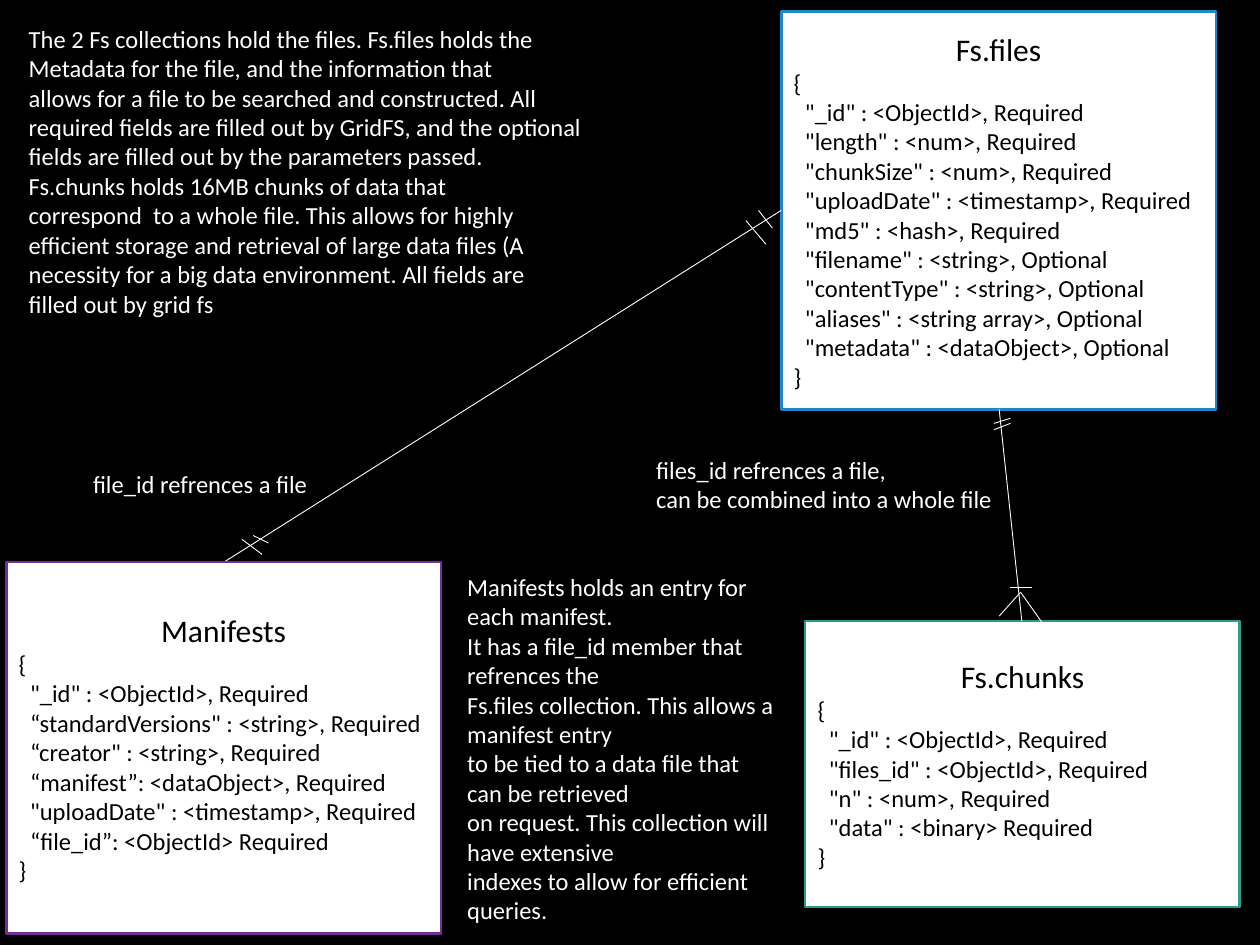
from dataclasses import dataclass

from lxml.etree import SubElement
from pptx import Presentation
from pptx.dml.color import RGBColor
from pptx.enum.shapes import MSO_CONNECTOR, MSO_SHAPE
from pptx.enum.text import MSO_ANCHOR, MSO_AUTO_SIZE, PP_ALIGN
from pptx.oxml.ns import qn
from pptx.util import Inches, Pt


@dataclass(frozen=True)
class Theme:
    font: str = "Calibri"
    title_size: int = 18
    body_size: int = 14
    border_width: float = 1.5
    line_width: float = 0.5
    field_indent: float = 0.09
    background: str = "000000"
    card: str = "FFFFFF"
    card_text: str = "000000"
    note_text: str = "FFFFFF"
    relation: str = "FFFFFF"
    files: str = "1D86CD"
    chunks: str = "2C9C89"
    manifests: str = "732E9A"


THEME = Theme()

# The slide is a grid of 100 columns by 75 rows of square cells.
COLUMNS, ROWS, CELL = 100, 75, 0.1
CARD_WIDTH = 34.5

FILES_FIELDS = [
    '"_id" : <ObjectId>, Required',
    '"length" : <num>, Required',
    '"chunkSize" : <num>, Required',
    '"uploadDate" : <timestamp>, Required',
    '"md5" : <hash>, Required',
    '"filename" : <string>, Optional',
    '"contentType" : <string>, Optional',
    '"aliases" : <string array>, Optional',
    '"metadata" : <dataObject>, Optional',
]
CHUNKS_FIELDS = [
    '"_id" : <ObjectId>, Required',
    '"files_id" : <ObjectId>, Required',
    '"n" : <num>, Required',
    '"data" : <binary> Required',
]
MANIFESTS_FIELDS = [
    '"_id" : <ObjectId>, Required',
    '“standardVersions" : <string>, Required',
    '“creator" : <string>, Required',
    '“manifest”: <dataObject>, Required',
    '"uploadDate" : <timestamp>, Required',
    '“file_id”: <ObjectId> Required',
]

# Notes: left, top, width, height, wrapped, lines
NOTES = [
    (6.4, 36.7, 19.6, 3.4, False, ["file_id refrences a file"]),
    (51.1, 35.6, 30, 5.7, False, [
        "files_id refrences a file,",
        "can be combined into a whole file",
    ]),
    (36.1, 44.9, 26.3, 29.3, True, [
        "Manifests holds an entry for each manifest.",
        "It has a file_id member that refrences the",
        "Fs.files collection. This allows a manifest entry",
        "to be tied to a data file that can be retrieved",
        "on request. This collection will have extensive",
        "indexes to allow for efficient queries.",
    ]),
    (1.3, 1.4, 48.7, 24.6, False, [
        "The 2 Fs collections hold the files. Fs.files holds the",
        "Metadata for the file, and the information that",
        "allows for a file to be searched and constructed. All",
        "required fields are filled out by GridFS, and the optional",
        "fields are filled out by the parameters passed.",
        "Fs.chunks holds 16MB chunks of data that",
        "correspond  to a whole file. This allows for highly",
        "efficient storage and retrieval of large data files (A",
        "necessity for a big data environment. All fields are",
        "filled out by grid fs",
    ]),
]

# Relations and their cardinality marks: start column, row, end column, row
RELATION_LINES = [
    (17.8, 44.6, 62, 16.7),      # Manifests to Fs.files
    (81.1, 49.3, 79.3, 32.5),    # Fs.chunks to Fs.files
    (78.9, 33.6, 80.2, 33.2),    # exactly one, below Fs.files
    (78.9, 34.1, 80.2, 33.6),
    (59.2, 17.5, 60.8, 19.4),    # exactly one, left of Fs.files
    (60.2, 16.7, 61.3, 18.1),
    (19.2, 42.8, 20.8, 44),      # exactly one, above Manifests
    (20.1, 42.5, 21.3, 43.1),
    (80.2, 46.6, 81.9, 46.6),    # one or many, above Fs.chunks
    (81, 47, 82.7, 49.4),
    (79.3, 48.9, 81, 47),
]


def grid(*cells):
    return [Inches(cell * CELL) for cell in cells]


def color(value):
    return RGBColor.from_string(value)


def format_paragraph(paragraph, size, text_color, alignment=PP_ALIGN.LEFT):
    paragraph.alignment = alignment
    for run in paragraph.runs:
        run.font.name = THEME.font
        run.font.size = Pt(size)
        run.font.color.rgb = color(text_color)


def add_card(slide, left, top, height, border, title, fields):
    """A collection: a centred title over its fields in braces."""
    shape = slide.shapes.add_shape(
        MSO_SHAPE.RECTANGLE, *grid(left, top, CARD_WIDTH, height))
    shape.shadow.inherit = False
    shape.fill.solid()
    shape.fill.fore_color.rgb = color(THEME.card)
    shape.line.color.rgb = color(border)
    shape.line.width = Pt(THEME.border_width)

    text_frame = shape.text_frame
    text_frame.word_wrap = True
    text_frame.vertical_anchor = MSO_ANCHOR.MIDDLE
    text_frame.text = "\n".join([title, "{", *fields, "}"])
    heading, *body = text_frame.paragraphs
    format_paragraph(heading, THEME.title_size, THEME.card_text, PP_ALIGN.CENTER)
    for paragraph in body:
        format_paragraph(paragraph, THEME.body_size, THEME.card_text)
    for paragraph in body[1:-1]:
        properties = paragraph._p.get_or_add_pPr()
        properties.set("marL", str(Inches(THEME.field_indent)))


def add_note(slide, left, top, width, height, wrapped, lines):
    shape = slide.shapes.add_textbox(*grid(left, top, width, height))
    text_frame = shape.text_frame
    text_frame.word_wrap = wrapped
    text_frame.auto_size = MSO_AUTO_SIZE.SHAPE_TO_FIT_TEXT
    text_frame.text = "\n".join(lines)
    for paragraph in text_frame.paragraphs:
        format_paragraph(paragraph, THEME.body_size, THEME.note_text)


def add_line(slide, *ends):
    connector = slide.shapes.add_connector(MSO_CONNECTOR.STRAIGHT, *grid(*ends))
    connector.line.color.rgb = color(THEME.relation)
    connector.line.width = Pt(THEME.line_width)
    SubElement(connector._element.spPr, qn("a:effectLst"))


def main():
    presentation = Presentation()
    presentation.slide_width, presentation.slide_height = grid(COLUMNS, ROWS)
    slide = presentation.slides.add_slide(presentation.slide_layouts[6])
    slide.background.fill.solid()
    slide.background.fill.fore_color.rgb = color(THEME.background)

    # File storage collections
    add_card(slide, 63.9, 49.3, 22.7, THEME.chunks, "Fs.chunks", CHUNKS_FIELDS)
    add_card(slide, 62, 0.9, 31.6, THEME.files, "Fs.files", FILES_FIELDS)

    # Explanations and relations
    for note in NOTES:
        add_note(slide, *note)
    for ends in RELATION_LINES:
        add_line(slide, *ends)

    # Manifest collection
    add_card(slide, 0.5, 44.6, 29.5, THEME.manifests, "Manifests",
             MANIFESTS_FIELDS)

    presentation.save("out.pptx")


if __name__ == "__main__":
    main()
